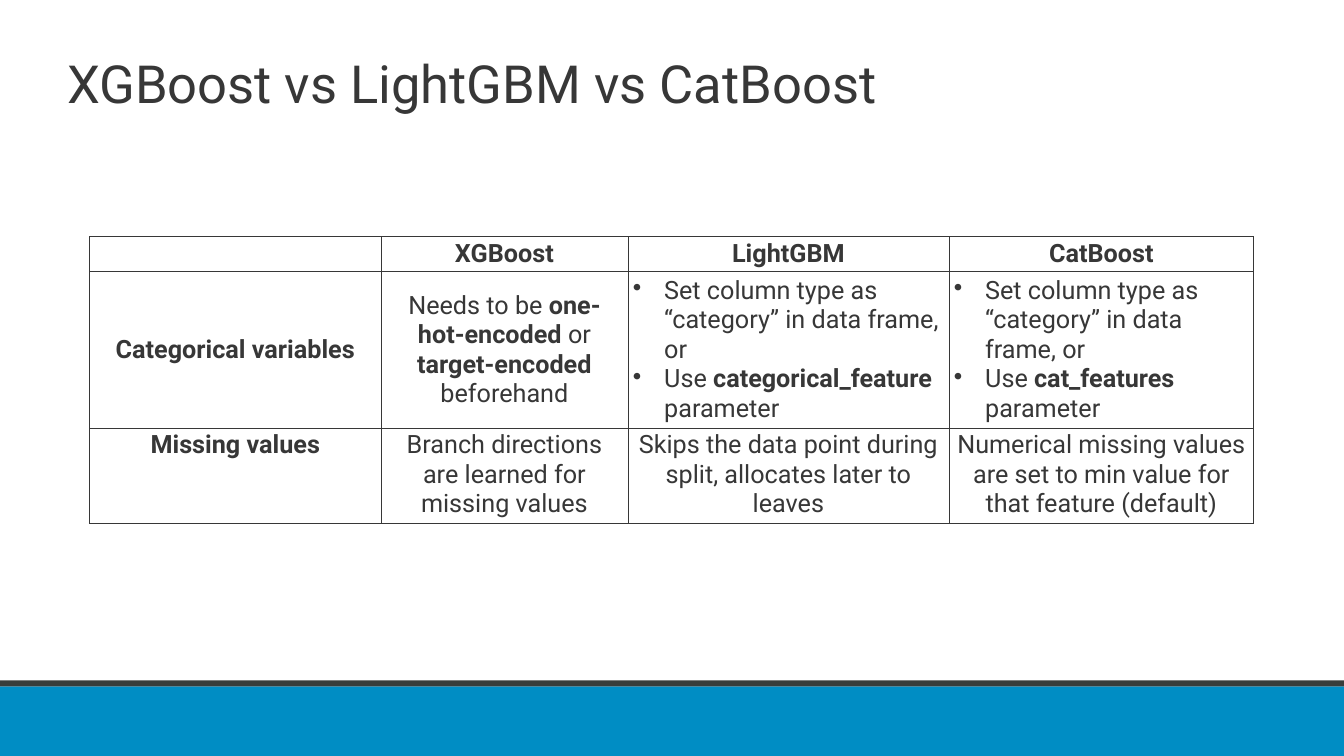
from lxml import etree
from pptx import Presentation, util as u
from pptx.dml.color import RGBColor
from pptx.enum import shapes, text
from pptx.oxml import ns

COLORS = {"ink": "373737", "band": "008DC4", "stripe": "383D3B"}
COLUMN_WIDTHS = [5.78, 4.9, 6.37, 6.05]
ROW_HEIGHTS = [0.69, 3.02, 1.86]
INDENT = u.Inches(0.62)

# Asterisk pairs enclose bold words; a list becomes bullets.
ROWS = [
    ["", "**XGBoost**", "**LightGBM**", "**CatBoost**"],
    [
        "**Categorical variables**",
        "Needs to be **one-hot-encoded** or **target-encoded** beforehand",
        ["Set column type as “category” in data frame, or",
         "Use **categorical_feature **parameter"],
        ["Set column type as “category” in data frame, or",
         "Use **cat_features **parameter"],
    ],
    [
        "**Missing values**",
        "Branch directions are learned for missing values",
        "Skips the data point during split, allocates later to leaves",
        "Numerical missing values are set to min value for that feature (default)",
    ],
]


class SlideBuilder:
    def __init__(self, slide, font="Roboto"):
        self.slide = slide
        self.font = font

    def color(self, name):
        return RGBColor.from_string(COLORS[name])

    def bar(self, left, top, width, height, color):
        bar = self.slide.shapes.add_shape(
            shapes.MSO_SHAPE.RECTANGLE, *map(u.Inches, (left, top, width, height)))
        bar.shadow.inherit = False
        bar.fill.solid()
        bar.fill.fore_color.rgb = self.color(color)
        bar.line.fill.background()

    def style(self, font, size):
        font.name = self.font
        font.size = u.Pt(size)
        font.color.rgb = self.color("ink")

    def fill_paragraph(self, paragraph, content, size):
        """Add the content to a paragraph, turning each **...** part bold."""
        self.style(paragraph.font, size)
        for index, part in enumerate(content.split("**")):
            if part:
                span = paragraph.add_run()
                span.text = part
                self.style(span.font, size)
                span.font.bold = index % 2 == 1

    def title(self, left, top, width, height, content, size):
        box = self.slide.shapes.add_textbox(*map(u.Inches, (left, top, width, height)))
        frame = box.text_frame
        frame.word_wrap = True
        frame.vertical_anchor = text.MSO_ANCHOR.MIDDLE
        frame.margin_left = frame.margin_right = u.Inches(0.06)
        frame.margin_top = frame.margin_bottom = u.Inches(0.06)
        self.fill_paragraph(frame.paragraphs[0], content, size)

    def bullet(self, paragraph):
        properties = paragraph._p.get_or_add_pPr()
        properties.set("marL", str(INDENT))
        properties.set("indent", str(-INDENT))
        mark = etree.Element(ns.qn("a:buChar"), char="•")
        properties.insert_element_before(mark, "a:tabLst", "a:defRPr", "a:extLst")

    def borders(self, cell):
        properties = cell._tc.get_or_add_tcPr()
        for index, side in enumerate(("lnL", "lnR", "lnT", "lnB")):
            line = etree.Element(ns.qn(f"a:{side}"), w=str(u.Pt(1)))
            fill = etree.SubElement(line, ns.qn("a:solidFill"))
            etree.SubElement(fill, ns.qn("a:srgbClr"), val=COLORS["ink"])
            properties.insert(index, line)

    def cell(self, cell, content, size):
        cell.fill.background()
        self.borders(cell)
        bulleted = isinstance(content, list)
        frame = cell.text_frame
        for index, item in enumerate(content if bulleted else [content]):
            paragraph = frame.paragraphs[0] if index == 0 else frame.add_paragraph()
            self.fill_paragraph(paragraph, item, size)
            if bulleted:
                self.bullet(paragraph)
            else:
                paragraph.alignment = text.PP_ALIGN.CENTER

    def table(self, left, top, rows, size):
        table = self.slide.shapes.add_table(
            len(rows), len(COLUMN_WIDTHS), u.Inches(left), u.Inches(top),
            u.Inches(sum(COLUMN_WIDTHS)), u.Inches(sum(ROW_HEIGHTS))).table
        table.first_row = table.horz_banding = False
        for column, width in zip(table.columns, COLUMN_WIDTHS):
            column.width = u.Inches(width)
        for row, height, contents in zip(table.rows, ROW_HEIGHTS, rows):
            row.height = u.Inches(height)
            for cell, content in zip(row.cells, contents):
                self.cell(cell, content, size)
        for cell in table.rows[1].cells:
            cell.vertical_anchor = text.MSO_ANCHOR.MIDDLE


def main():
    deck = Presentation()
    deck.slide_width, deck.slide_height = u.Inches(26.67), u.Inches(15)
    page = SlideBuilder(deck.slides.add_slide(deck.slide_layouts[6]))
    page.bar(-0.05, 13.62, 26.76, 1.39, "band")
    page.bar(-0.03, 13.5, 26.72, 0.12, "stripe")
    page.title(1.27, 0.39, 24.79, 2.5, "XGBoost vs LightGBM vs CatBoost", 75)
    page.table(1.78, 4.69, ROWS, 36)
    deck.save("out.pptx")


if __name__ == "__main__":
    main()
